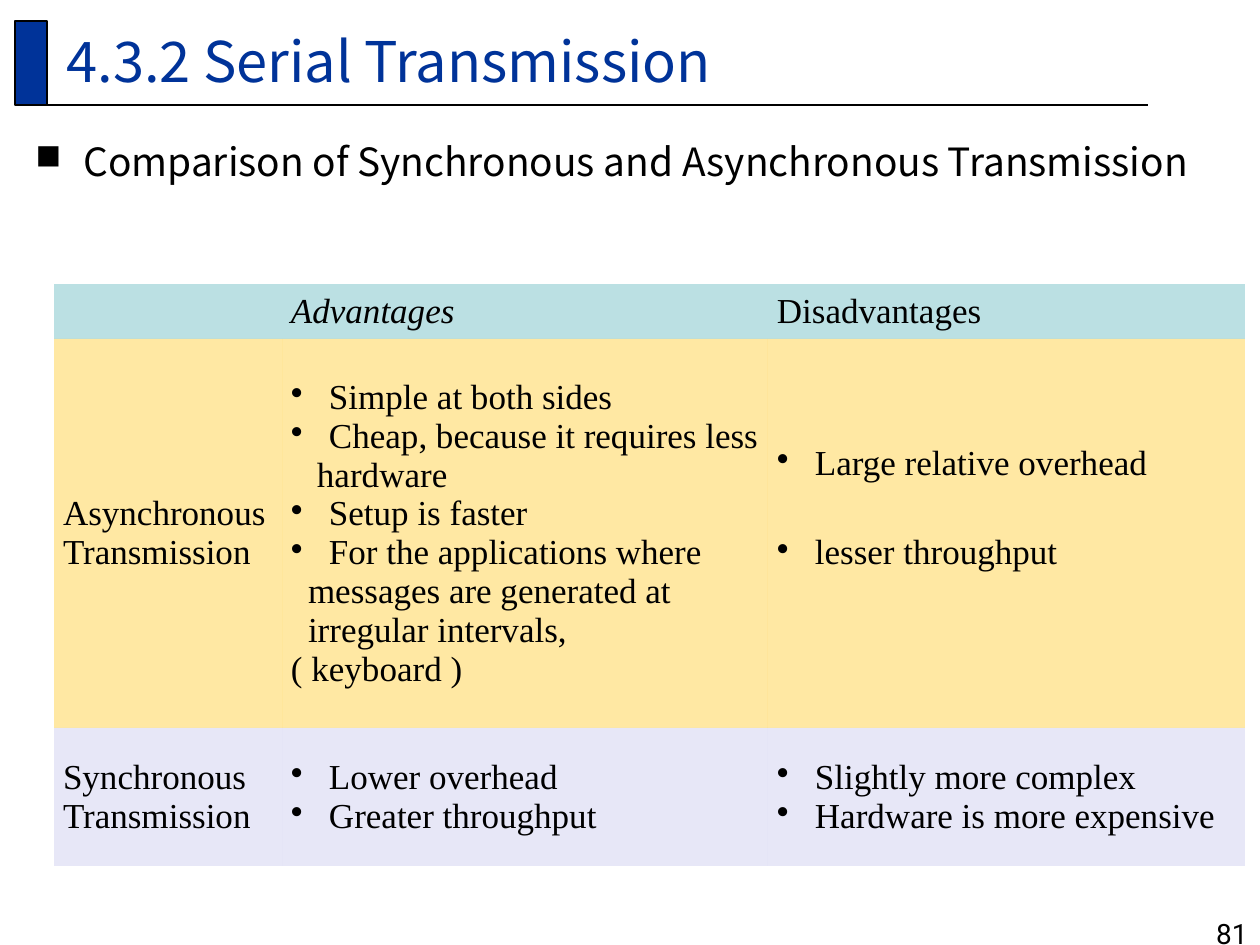
import pptx
import pptx.dml.color
import pptx.enum.shapes
import pptx.enum.text
import pptx.oxml
import pptx.oxml.ns
import pptx.util

PX = 914400 // 126
COLORS = {"page": "FFFFFF", "ink": "000000", "accent": "003399",
          "header": "BBE0E3", "async": "FFC000", "sync": "CECEEF"}
SANS, SERIF, DIGITS = "Noto Sans CJK KR", "Times New Roman", "Roboto"
NO_STYLE = "{2D5ABB26-0587-4C30-8999-92F81FD0307C}"
BULLET = 38
HEADER = [[], [("Advantages", 0, 0)], [("Disadvantages", 0, 0)]]
ASYNC = [
    [("Asynchronous", 0, 0), ("Transmission", 0, 0)],
    [("Simple at both sides", BULLET, 0),
     ("Cheap, because it requires less", BULLET, 0),
     ("hardware", 26, 0),
     ("Setup is faster", BULLET, 0),
     ("For the applications where", BULLET, 0),
     ("messages are generated at", 17, 0),
     ("irregular intervals,", 17, 0),
     ("( keyboard )", 0, 0)],
    [("Large relative overhead", BULLET, 0), ("lesser throughput", BULLET, 29)],
]
SYNC = [
    [("Synchronous", 0, 0), ("Transmission", 0, 0)],
    [("Lower overhead", BULLET, 0), ("Greater throughput", BULLET, 0)],
    [("Slightly more complex", BULLET, 0), ("Hardware is more expensive", BULLET, 0)],
]


def px(length):
    """Turn pixels into EMU."""
    return pptx.util.Emu(length * PX)


def rgb(name):
    """Look up a named colour."""
    return pptx.dml.color.RGBColor.from_string(COLORS[name])


def add_xml(parent, tag, **attributes):
    """Append one drawing element and return it."""
    child = parent.makeelement(pptx.oxml.ns.qn(tag), attributes)
    parent.append(child)
    return child


def indent(para, left, mark=None, size=100):
    """Set the left margin, with a hanging bullet if a mark is given."""
    properties = para._p.get_or_add_pPr()
    properties.set("marL", str(px(left)))
    properties.set("indent", str(px(-left if mark else 0)))
    if mark:
        color = add_xml(properties, "a:buClr")
        add_xml(color, "a:srgbClr", val=COLORS["ink"])
        add_xml(properties, "a:buSzPct", val=str(size * 1000))
        add_xml(properties, "a:buChar", char=mark)


def add_span(para, text, font, size, color="ink", italic=False):
    """Add one styled run."""
    span = para.add_run()
    span.text = text
    span.font.name = font
    span.font.size = pptx.util.Pt(size)
    span.font.italic = italic
    span.font.color.rgb = rgb(color)


def add_text_box(page, left, top, width, height):
    """Add a wrapping text box and return it."""
    box = page.shapes.add_textbox(px(left), px(top), px(width), px(height))
    box.text_frame.word_wrap = True
    return box


def add_heading(page, left, top, width, height):
    """Draw the accent bar, the rule below and the title."""
    bar_width = 32
    bar = page.shapes.add_shape(pptx.enum.shapes.MSO_SHAPE.RECTANGLE,
                                px(left), px(top), px(bar_width), px(height))
    bar.shadow.inherit = False
    bar.fill.solid()
    bar.fill.fore_color.rgb = rgb("accent")
    rule = page.shapes.add_connector(
        pptx.enum.shapes.MSO_CONNECTOR.STRAIGHT,
        px(left + bar_width), px(top + height), px(left + width), px(top + height))
    add_xml(rule._element.spPr, "a:effectLst")
    for shape in (bar, rule):
        shape.line.color.rgb = rgb("ink")
        shape.line.width = pptx.util.Pt(0.75)
    title = add_text_box(page, left + 39, top - 2, 1240, 82)
    title.text_frame.vertical_anchor = pptx.enum.text.MSO_ANCHOR.MIDDLE
    add_span(title.text_frame.paragraphs[0], "4.3.2 Serial Transmission", SANS, 32, "accent")


def add_topic(page, left, top, width, height):
    """Write the bulleted topic line."""
    box = add_text_box(page, left, top, width, height)
    para = box.text_frame.paragraphs[0]
    para.line_spacing = 1.4
    indent(para, 48, "■", 90)
    add_span(para, "Comparison of Synchronous and Asynchronous Transmission", SANS, 22.2)


def fill_cell(cell, lines, color, alpha, italic):
    """Colour a cell and write its lines."""
    cell.fill.solid()
    cell.fill.fore_color.rgb = rgb(color)
    if alpha < 100:
        tint = next(cell._tc.tcPr.iter(pptx.oxml.ns.qn("a:srgbClr")))
        add_xml(tint, "a:alpha", val=str(alpha * 1000))
    cell.vertical_anchor = pptx.enum.text.MSO_ANCHOR.MIDDLE
    cell.margin_left = cell.margin_right = px(9)
    cell.margin_top = cell.margin_bottom = px(6)
    for number, (text, left, before) in enumerate(lines):
        frame = cell.text_frame
        para = frame.add_paragraph() if number else frame.paragraphs[0]
        if before:
            para.space_before = pptx.util.Pt(before)
        indent(para, left, "•" if left == BULLET else None)
        add_span(para, text, SERIF, 20, italic=italic)


def add_comparison(page, left, top, widths, heights):
    """Build the table that compares both kinds of transmission."""
    frame = page.shapes.add_table(len(heights), len(widths), px(left), px(top),
                                  px(sum(widths)), px(sum(heights)))
    table = frame.table
    next(frame._element.iter(pptx.oxml.ns.qn("a:tableStyleId"))).text = NO_STYLE
    table.first_row = table.horz_banding = False
    for column, width in zip(table.columns, widths):
        column.width = px(width)
    bands = [(HEADER, "header", 100), (ASYNC, "async", 36), (SYNC, "sync", 47)]
    for row, height, (contents, color, alpha) in zip(table.rows, heights, bands):
        row.height = px(height)
        for cell, lines in zip(row.cells, contents):
            fill_cell(cell, lines, color, alpha, lines == HEADER[1])
    table.cell(1, 2).margin_bottom = px(57)


def add_page_number(page, left, top, width, height):
    """Write the page number at the right."""
    box = add_text_box(page, left, top, width, height)
    para = box.text_frame.paragraphs[0]
    para.alignment = pptx.enum.text.PP_ALIGN.RIGHT
    add_span(para, "81", DIGITS, 16)


def main():
    """Build and save the deck."""
    deck = pptx.Presentation()
    deck.slide_width, deck.slide_height = px(1260), px(945)
    page = deck.slides.add_slide(deck.slide_layouts[6])
    page.background.fill.solid()
    page.background.fill.fore_color.rgb = rgb("page")
    add_page_number(page, 998, 910, 262, 63)
    add_heading(page, 15, 21, 1133, 84)
    add_topic(page, 23, 113, 1237, 149)
    add_comparison(page, 54, 284, (228, 486, 477), (55, 389, 138))
    deck.save("out.pptx")


if __name__ == "__main__":
    main()
